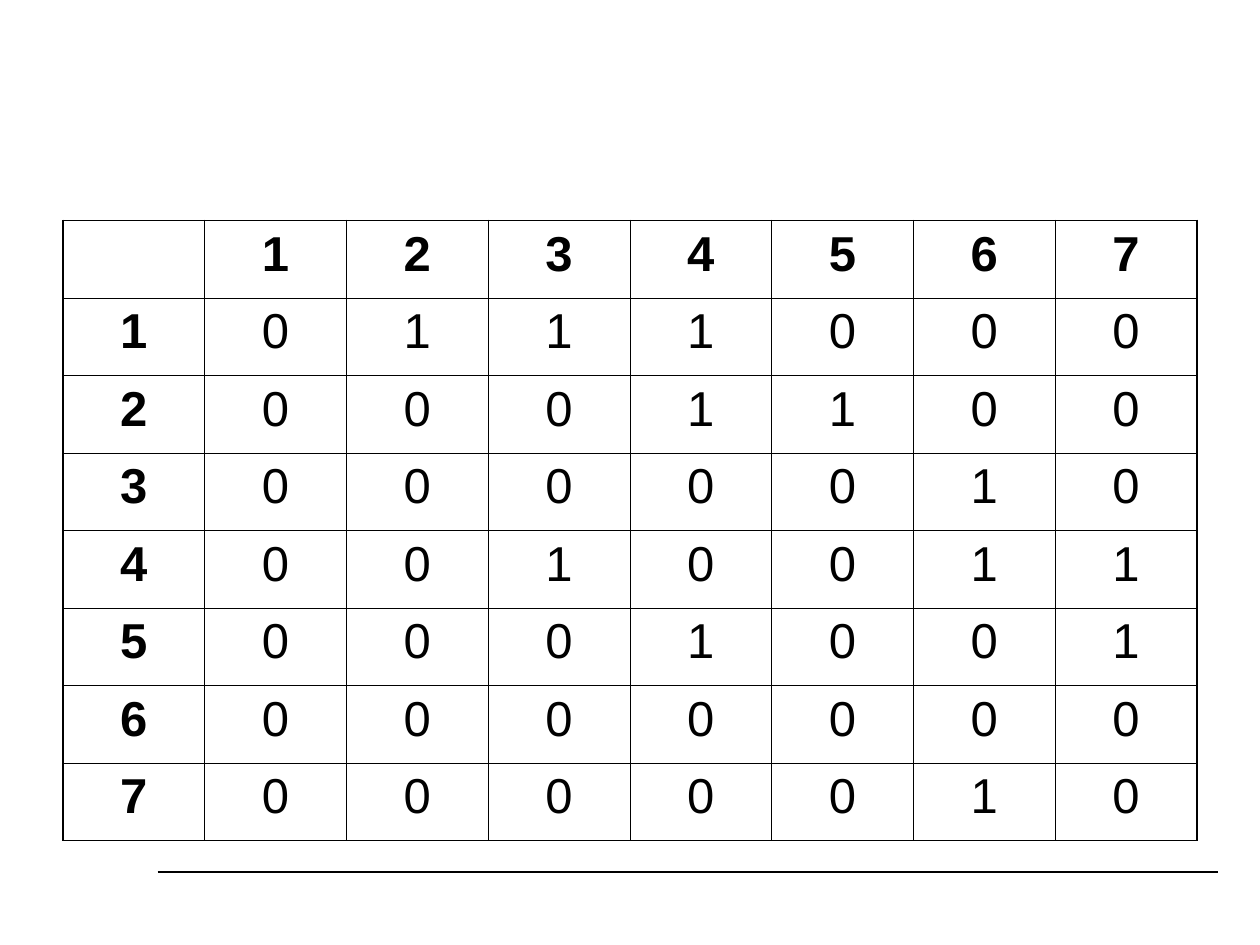
from lxml import etree
from pptx import Presentation
from pptx.dml.color import RGBColor
from pptx.enum.shapes import MSO_CONNECTOR
from pptx.enum.text import PP_ALIGN
from pptx.oxml.ns import qn
from pptx.util import Inches, Pt

CENTER = PP_ALIGN.CENTER
STRAIGHT = MSO_CONNECTOR.STRAIGHT
COLORS = {"ink": "000000", "paper": "FFFFFF"}
INK = RGBColor.from_string(COLORS["ink"])
OUTER, INNER = Pt(1.08), Pt(0.45)

# Adjacency matrix: one string per node
MATRIX = ["0111000", "0001100", "0000010", "0010011",
          "0001001", "0000000", "0000010"]
NODES = [str(node) for node in range(1, len(MATRIX) + 1)]
ROWS = [[""] + NODES] + [[node, *links] for node, links in zip(NODES, MATRIX)]
SIZE = len(ROWS)

deck = Presentation()
deck.slide_width, deck.slide_height = Inches(10), Inches(7.5)
WIDTH, HEIGHT = deck.slide_width, deck.slide_height
page = deck.slides.add_slide(deck.slide_layouts[6])
page.background.fill.solid()
page.background.fill.fore_color.rgb = RGBColor.from_string(COLORS["paper"])


def add_border(cell, side, index, width):
    line = etree.Element(qn(f"a:ln{side}"), w=str(width))
    fill = etree.SubElement(line, qn("a:solidFill"))
    etree.SubElement(fill, qn("a:srgbClr"), val=COLORS["ink"])
    cell.fill.background()
    cell._tc.get_or_add_tcPr().insert(index, line)


# Footer rule
rule_top = Inches(6.92)
rule = page.shapes.add_connector(
    STRAIGHT, int(WIDTH * 0.125), rule_top, Inches(9.67), rule_top)
rule.line.color.rgb = INK
rule.line.width = Pt(0.75)
etree.SubElement(rule._element.spPr, qn("a:effectLst"))

# Table on an even grid
frame = page.shapes.add_table(
    SIZE, SIZE, int(WIDTH * 0.05), Inches(1.75), int(WIDTH * 0.9), Inches(4.92))
table = frame.table
table.first_row = table.horz_banding = False
for column in table.columns:
    column.width = frame.width // SIZE
for row in table.rows:
    row.height = frame.height // SIZE

# Cells: bold headings, heavier outer edge
for row, values in enumerate(ROWS):
    for column, value in enumerate(values):
        cell = table.cell(row, column)
        edges = {"L": column == 0, "R": column == SIZE - 1,
                 "T": row == 0, "B": row == SIZE - 1}
        for index, (side, is_outer) in enumerate(edges.items()):
            add_border(cell, side, index, OUTER if is_outer else INNER)
        if not value:
            continue
        para = cell.text_frame.paragraphs[0]
        para.alignment = CENTER
        span = para.add_run()
        span.text = value
        span.font.color.rgb = INK
        font_format = {"name": "Arial", "size": Pt(28),
                       "bold": row == 0 or column == 0}
        for name, setting in font_format.items():
            setattr(span.font, name, setting)

deck.save("out.pptx")
